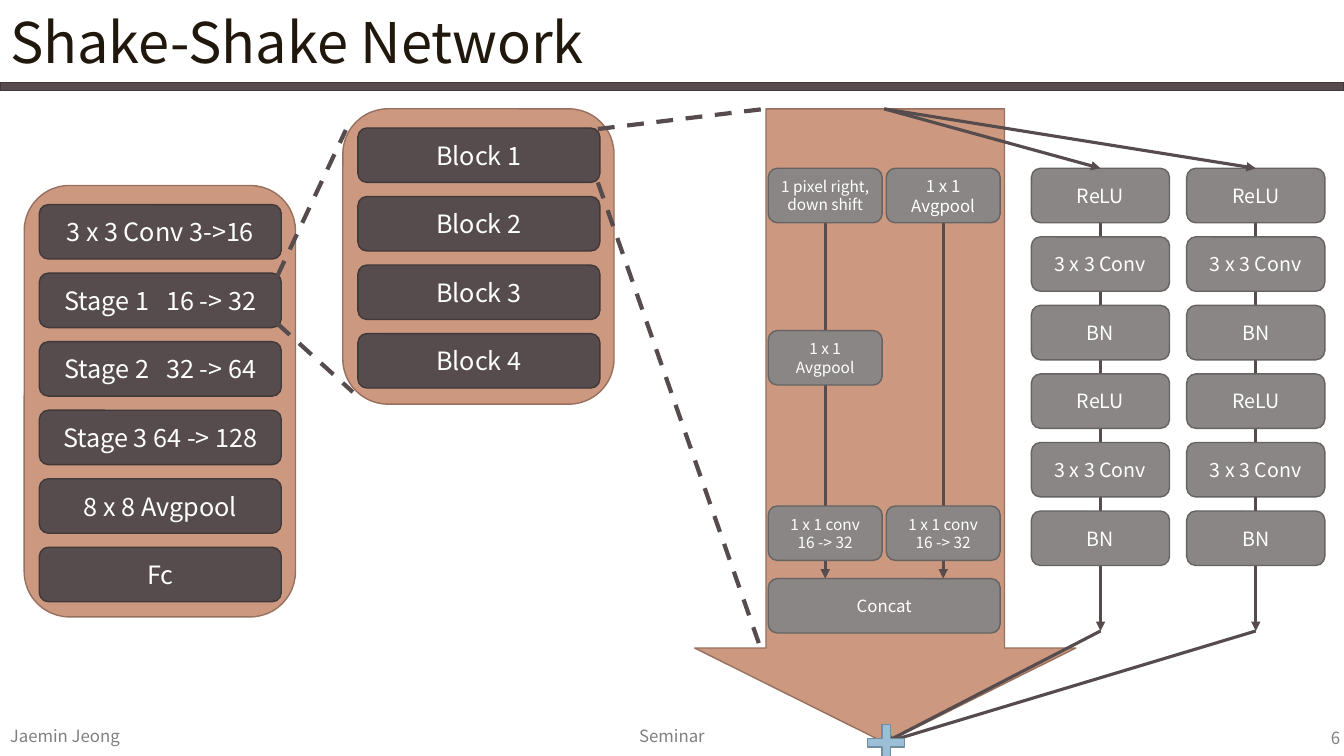
from dataclasses import dataclass

from lxml import etree
from pptx import Presentation
from pptx.dml.color import RGBColor
from pptx.enum.dml import MSO_LINE
from pptx.enum.shapes import MSO_CONNECTOR, MSO_SHAPE
from pptx.enum.text import MSO_ANCHOR, PP_ALIGN
from pptx.oxml.ns import qn
from pptx.util import Inches, Pt

RECT, ROUND = MSO_SHAPE.RECTANGLE, MSO_SHAPE.ROUNDED_RECTANGLE
DOWN, PLUS = MSO_SHAPE.DOWN_ARROW, MSO_SHAPE.MATH_PLUS
STRAIGHT, DASH = MSO_CONNECTOR.STRAIGHT, MSO_LINE.DASH
LEFT, MID, RIGHT = PP_ALIGN.LEFT, PP_ALIGN.CENTER, PP_ALIGN.RIGHT
CENTER = MSO_ANCHOR.MIDDLE


@dataclass(frozen=True)
class Theme:
    """Colours as fill and edge pairs, type sizes and line widths."""
    font: str = "Noto Sans CJK KR"
    dark: tuple = ("564C4D", "403839")
    clay: tuple = ("CC9880", "97705F")
    gray: tuple = ("8A8686", "666363")
    blue: tuple = ("9BBFD7", "738D9F")
    ink: str = "20170D"
    mute: str = "808080"
    white: str = "FFFFFF"
    title: int = 40
    large: int = 18
    mid: int = 14
    small: int = 12
    tiny: int = 11
    flow: float = 2.25
    zoom: float = 3


T = Theme()
ROW, STEP = 0.54, 0.68


def apply(obj, vals):
    """Set each named value on an object."""
    for name, val in vals.items():
        setattr(obj, name, val)


def write(frame, text, size, color, align=MID, **extra):
    """Fill a text frame, one paragraph to a line of text."""
    apply(frame, {"text": text, "word_wrap": True, "vertical_anchor": CENTER})
    for para in frame.paragraphs:
        apply(para, {"alignment": align, **extra})
        for run in para.runs:
            apply(run.font, {"name": T.font, "size": Pt(size), "bold": False})
            run.font.color.rgb = RGBColor.from_string(color)


def shape(slide, kind, box, tone, text="", size=T.large, adj=()):
    """Draw a preset shape in a fill and edge tone."""
    item = slide.shapes.add_shape(kind, *map(Inches, box))
    item.shadow.inherit = False
    for pos, val in enumerate(adj):
        item.adjustments[pos] = val
    fill, edge = map(RGBColor.from_string, tone)
    item.fill.solid()
    item.fill.fore_color.rgb = fill
    item.line.color.rgb = edge
    item.line.width = Pt(1)
    if text:
        write(item.text_frame, text, size, T.white)


def link(slide, start, end, zoom=False):
    """Join two points with a flow arrow or a dashed zoom line."""
    line = slide.shapes.add_connector(STRAIGHT, *map(Inches, start + end))
    etree.SubElement(line._element.spPr, qn("a:effectLst"))
    line.line.color.rgb = RGBColor.from_string(T.dark[0])
    line.line.width = Pt(T.zoom if zoom else T.flow)
    if zoom:
        line.line.dash_style = DASH
    else:
        tail = etree.SubElement(line.line._get_or_add_ln(), qn("a:tailEnd"))
        tail.set("type", "triangle")


def head(slide, box):
    """Place the title with the rule beneath it."""
    x, y, w, h = box
    shape(slide, RECT, (x, y + h - 0.08, w, 0.08), T.dark)
    title = slide.shapes.title
    apply(title, dict(zip(("left", "top", "width", "height"), map(Inches, box))))
    write(title.text_frame, "Shake-Shake Network", T.title, T.ink, LEFT,
          line_spacing=0.9)


def foot(slide, box):
    """Write author, event and page number along the foot."""
    x, y, w, h = box
    parts = (
        ("Jaemin Jeong", x, y, 3, LEFT),
        ("Seminar", x + 3, y, w - 6, MID),
        ("6", x + w - 2.94, y + 0.02, 3, RIGHT),
    )
    for text, left, top, wide, align in parts:
        note = slide.shapes.add_textbox(*map(Inches, (left, top, wide, h)))
        write(note.text_frame, text, T.small, T.mute, align)


def panel(slide, box, rows):
    """Stack dark rows on a clay panel."""
    x, y, w, h = box
    shape(slide, ROUND, box, T.clay)
    for pos, text in enumerate(rows):
        shape(slide, ROUND, (x + 0.15, y + 0.19 + pos * STEP, w - 0.29, ROW),
              T.dark, text)


def skip(slide, box):
    """Draw the shortcut path inside the large arrow."""
    x, y, w, h = box
    shape(slide, DOWN, box, T.clay, adj=(0.626, 0.249))
    cols = (x + 0.73, x + 1.9)
    wide, base = 1.13, y + 4.66
    for col in cols:
        mid = col + wide / 2
        link(slide, (mid, y + 0.59), (mid, base))
    cells = (
        (0, 0.59, "1 pixel right, down shift", T.tiny),
        (1, 0.59, "1 x 1 Avgpool", T.small),
        (0, 2.2, "1 x 1 Avgpool", T.tiny),
        (0, 3.94, "1 x 1 conv\n16 -> 32", T.tiny),
        (1, 3.94, "1 x 1 conv\n16 -> 32", T.tiny),
    )
    for col, top, text, size in cells:
        shape(slide, ROUND, (cols[col], y + top, wide, ROW), T.gray, text, size)
    shape(slide, ROUND, (cols[0], base, 2.3, ROW), T.gray, "Concat", T.small)


def branch(slide, box, start, end):
    """Draw one residual branch and its links to the main path."""
    x, y, w, h = box
    mid = x + w / 2
    link(slide, (mid, y), (mid, y + h))
    for pos, text in enumerate(("ReLU", "3 x 3 Conv", "BN") * 2):
        shape(slide, ROUND, (x, y + pos * STEP, w, ROW), T.gray, text, T.mid)
    link(slide, start, (mid, y))
    link(slide, (mid, y + h), end)


def main():
    """Build the slide and save it."""
    deck = Presentation()
    apply(deck, {"slide_width": Inches(13.33), "slide_height": Inches(7.5)})
    slide = deck.slides.add_slide(deck.slide_layouts[5])
    head(slide, (0, 0, 13.33, 0.9))
    foot(slide, (0, 7.1, 13.33, 0.4))
    skip(slide, (6.89, 1.08, 3.78, 6.29))
    panel(slide, (0.24, 1.84, 2.69, 4.28),
          ("3 x 3 Conv 3->16", "Stage 1   16 -> 32", "Stage 2   32 -> 64",
           "Stage 3 64 -> 128", "8 x 8 Avgpool", "Fc"))
    panel(slide, (3.4, 1.08, 2.69, 2.93),
          [f"Block {num}" for num in range(1, 5)])
    for left in (10.23, 11.77):
        branch(slide, (left, 1.67, 1.37, 4.59), (8.77, 1.08), (8.77, 7.37))
    shape(slide, PLUS, (8.54, 7.12, 0.5, 0.5), T.blue, adj=(0.168,))
    zooms = (
        ((2.75, 2.74), (3.43, 1.29)),
        ((2.75, 3.21), (3.5, 3.89)),
        ((5.93, 1.28), (7.59, 1.08)),
        ((5.93, 1.81), (7.54, 6.42)),
    )
    for start, end in zooms:
        link(slide, start, end, zoom=True)
    deck.save("out.pptx")


if __name__ == "__main__":
    main()
